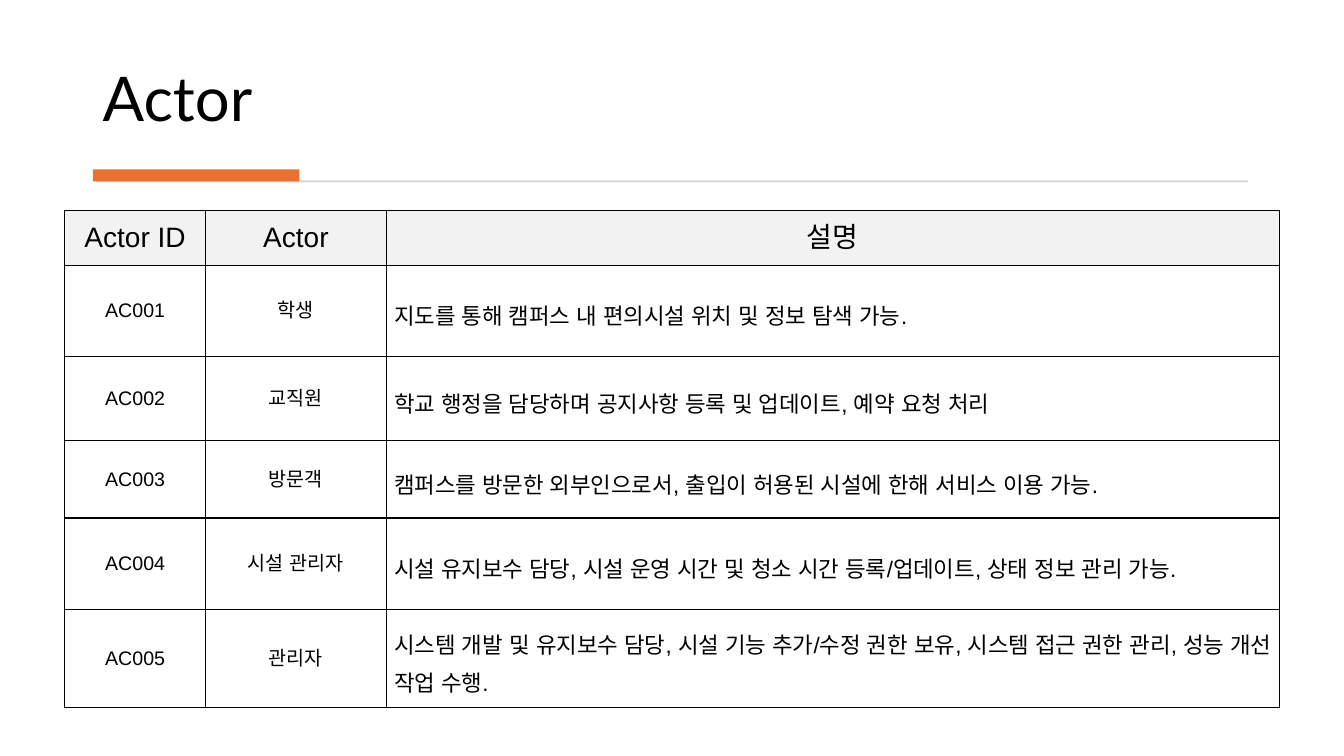
from dataclasses import dataclass

from lxml.etree import SubElement
from pptx import Presentation
from pptx.dml.color import RGBColor
from pptx.enum.shapes import MSO_SHAPE as SHAPE
from pptx.enum.text import MSO_ANCHOR as ANCHOR, PP_ALIGN as ALIGN
from pptx.oxml.ns import qn
from pptx.slide import Slide
from pptx.table import _Cell as Cell
from pptx.util import Inches, Pt

COLORS = {"text": "000000", "border": "000000", "header": "F2F2F2",
          "rule": "D5D5D5", "accent": "E97132"}


@dataclass(frozen=True)
class Bar:
    left: float
    top: float
    width: float
    height: float
    color: str


@dataclass(frozen=True)
class CellStyle:
    size: int
    align: ALIGN = ALIGN.CENTER
    line_spacing: float = 1.0
    fill: str | None = None


@dataclass(frozen=True)
class Actor:
    code: str
    name: str
    description: str
    height: float


BARS = [Bar(0.95, 1.79, 11.43, 0.02, "rule"),
        Bar(0.92, 1.68, 2.05, 0.12, "accent")]

HEADER = CellStyle(20, fill="header")
LABEL = CellStyle(14)
DESCRIPTION = CellStyle(16, ALIGN.JUSTIFY, 1.5)

COLUMN_WIDTHS = [1.4, 1.79, 8.86]
HEADINGS = ["Actor ID", "Actor", "설명"]
HEADER_HEIGHT = 0.54
ACTORS = [
    Actor("AC001", "학생", "지도를 통해 캠퍼스 내 편의시설 위치 및 정보 탐색 가능.", 0.91),
    Actor("AC002", "교직원", "학교 행정을 담당하며 공지사항 등록 및 업데이트, 예약 요청 처리", 0.83),
    Actor("AC003", "방문객",
          "캠퍼스를 방문한 외부인으로서, 출입이 허용된 시설에 한해 서비스 이용 가능.", 0.77),
    Actor("AC004", "시설 관리자",
          "시설 유지보수 담당, 시설 운영 시간 및 청소 시간 등록/업데이트, 상태 정보 관리 가능.", 0.91),
    Actor("AC005", "관리자",
          "시스템 개발 및 유지보수 담당, 시설 기능 추가/수정 권한 보유, "
          "시스템 접근 권한 관리, 성능 개선 작업 수행.", 0.97),
]


def rgb(name: str) -> RGBColor:
    return RGBColor.from_string(COLORS[name])


def add_title(s: Slide, text: str) -> None:
    tf = s.shapes.add_textbox(Inches(0.92), Inches(0.28), Inches(11.49), Inches(1.11)).text_frame
    tf.word_wrap = True
    tf.vertical_anchor = ANCHOR.BOTTOM
    p = tf.paragraphs[0]
    p.text = text
    p.line_spacing = 0.9
    p.font.name, p.font.size = "Lato", Pt(44)
    p.font.color.rgb = rgb("text")


def add_bar(s: Slide, bar: Bar) -> None:
    sp = s.shapes.add_shape(SHAPE.RECTANGLE, Inches(bar.left), Inches(bar.top),
                            Inches(bar.width), Inches(bar.height))
    sp.shadow.inherit = False
    sp.fill.solid()
    sp.fill.fore_color.rgb = rgb(bar.color)
    sp.line.fill.background()


def add_borders(cell: Cell) -> None:
    """Draw a 1 pt line on all four sides; call before setting the fill."""
    tc_pr = cell._tc.get_or_add_tcPr()
    for side in ("lnL", "lnR", "lnT", "lnB"):
        ln = SubElement(tc_pr, qn(f"a:{side}"), w=str(Pt(1)))
        SubElement(SubElement(ln, qn("a:solidFill")), qn("a:srgbClr"), val=COLORS["border"])


def fill_cell(cell: Cell, text: str, style: CellStyle) -> None:
    cell.margin_left = cell.margin_right = Inches(0.08)
    cell.margin_top = cell.margin_bottom = 0
    cell.vertical_anchor = ANCHOR.MIDDLE
    add_borders(cell)
    if style.fill:
        cell.fill.solid()
        cell.fill.fore_color.rgb = rgb(style.fill)
    else:
        cell.fill.background()
    p = cell.text_frame.paragraphs[0]
    p.text = text
    p.alignment, p.line_spacing = style.align, style.line_spacing
    font = p.font
    font.name, font.size = "Arial", Pt(style.size)
    font.color.rgb = rgb("text")
    SubElement(font._element, qn("a:ea"), typeface="Arial")  # Korean text


def add_actor_table(s: Slide) -> None:
    heights = [HEADER_HEIGHT] + [actor.height for actor in ACTORS]
    table = s.shapes.add_table(len(heights), len(COLUMN_WIDTHS), Inches(0.64), Inches(2.09),
                               Inches(sum(COLUMN_WIDTHS)), Inches(sum(heights))).table
    table.first_row = table.horz_banding = False
    for column, width in zip(table.columns, COLUMN_WIDTHS):
        column.width = Inches(width)
    for row, height in zip(table.rows, heights):
        row.height = Inches(height)
    for col, heading in enumerate(HEADINGS):
        fill_cell(table.cell(0, col), heading, HEADER)
    for row, actor in enumerate(ACTORS, start=1):
        fill_cell(table.cell(row, 0), actor.code, LABEL)
        fill_cell(table.cell(row, 1), actor.name, LABEL)
        fill_cell(table.cell(row, 2), actor.description, DESCRIPTION)


def main() -> None:
    prs = Presentation()
    prs.slide_width, prs.slide_height = Inches(13.33), Inches(7.5)
    s = prs.slides.add_slide(prs.slide_layouts[6])
    add_title(s, "Actor")
    for bar in BARS:
        add_bar(s, bar)
    add_actor_table(s)
    prs.save("out.pptx")


if __name__ == "__main__":
    main()
